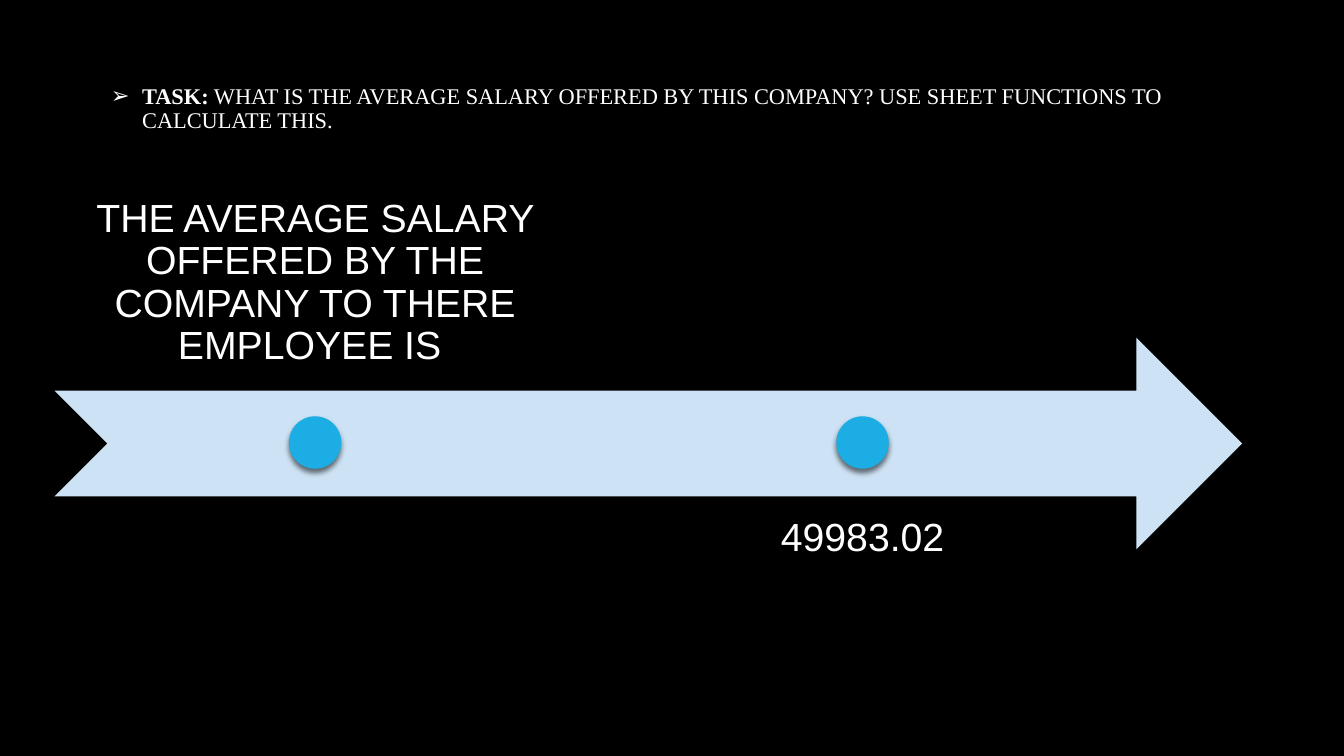
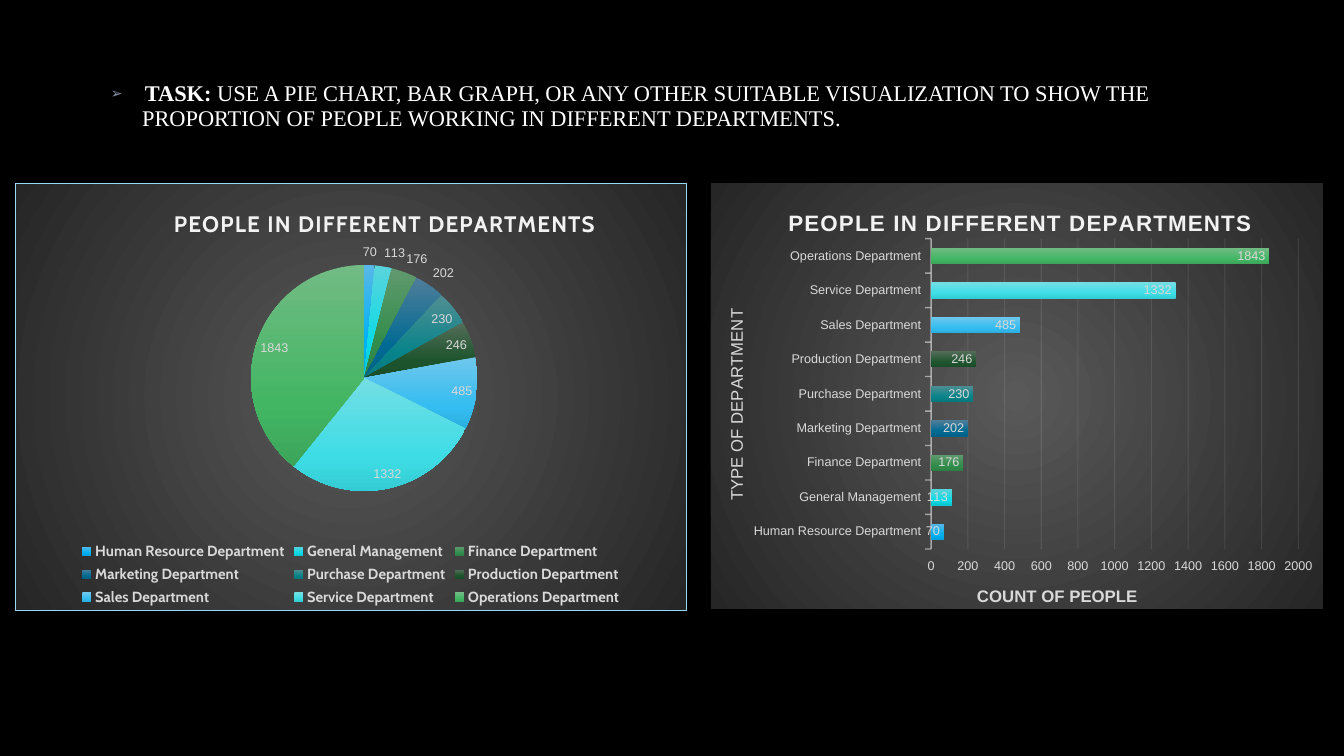
"""Build two dark task slides: an average salary timeline and department charts."""
from pptx import Presentation
from pptx.chart.data import CategoryChartData
from pptx.dml.color import RGBColor
from pptx.enum.chart import XL_CHART_TYPE as ChartType, XL_LABEL_POSITION as LabelPosition
from pptx.enum.chart import XL_LEGEND_POSITION as LegendPosition, XL_TICK_MARK as TickMark
from pptx.enum.shapes import MSO_SHAPE as Shape
from pptx.enum.text import MSO_ANCHOR as Anchor, MSO_AUTO_SIZE as AutoSize, PP_ALIGN as Align
from pptx.oxml import parse_xml
from pptx.oxml.ns import nsdecls, qn
from pptx.util import Inches, Pt

BLACK = RGBColor(0x00, 0x00, 0x00)
WHITE = RGBColor(0xFF, 0xFF, 0xFF)
SLATE = RGBColor(0x84, 0x92, 0xA6)
PALE_BLUE = RGBColor(0xCD, 0xE3, 0xF5)
BLUE = RGBColor(0x1C, 0xAD, 0xE4)
BORDER_BLUE = RGBColor(0x99, 0xDA, 0xF3)
LIGHT = RGBColor(0xF2, 0xF2, 0xF2)
GREY = RGBColor(0xD9, 0xD9, 0xD9)
PANEL_CENTRE = RGBColor(0x59, 0x59, 0x59)
PANEL_EDGE = RGBColor(0x26, 0x26, 0x26)

SALARY_TASK = " WHAT IS THE AVERAGE SALARY OFFERED BY THIS COMPANY? USE SHEET FUNCTIONS TO CALCULATE THIS."
CHART_TASK = (" USE A PIE CHART, BAR GRAPH, OR ANY OTHER SUITABLE VISUALIZATION TO SHOW THE "
              "PROPORTION OF PEOPLE WORKING IN DIFFERENT DEPARTMENTS.")
MILESTONES = [
    ("THE AVERAGE SALARY OFFERED BY THE COMPANY TO THERE EMPLOYEE IS ", 1.77, Anchor.BOTTOM),
    ("49983.02", 4.92, Anchor.TOP),
]
CHART_TITLE = "PEOPLE IN DIFFERENT DEPARTMENTS"
DEPARTMENTS = [
    ("Human Resource Department", 70, ("59B8E7", "00B1F5", "00A1DE")),
    ("General Management", 113, ("5BD4DC", "0CDBE7", "0BC7D1")),
    ("Finance Department", 176, ("60996E", "318D4B", "2C8044")),
    ("Marketing Department", 202, ("4F7E9A", "006A93", "006185")),
    ("Purchase Department", 230, ("508E93", "07848A", "07777E")),
    ("Production Department", 246, ("546D59", "1D542D", "1A4D29")),
    ("Sales Department", 485, ("6FC7EC", "34BDF1", "2BAEDF")),
    ("Service Department", 1332, ("74DEE4", "3EDDE6", "34CCD4")),
    ("Operations Department", 1843, ("72BB84", "42B663", "3CA55A")),
]


def set_font(font, size, color, name="Arial", bold=False):
    font.size, font.name, font.bold = Pt(size), name, bold
    font.color.rgb = color


def add_task_slide(deck, task, height, lead=""):
    slide = deck.slides.add_slide(deck.slide_layouts[5])
    title = slide.shapes.title
    title.left, title.top, title.width, title.height = map(Inches, (1, 0.67, 11.32, height))
    frame = title.text_frame
    frame.auto_size, frame.vertical_anchor = AutoSize.NONE, Anchor.MIDDLE
    para = frame.paragraphs[0]
    para.alignment, para.line_spacing = Align.LEFT, 0.9
    properties = para._p.get_or_add_pPr()
    properties.set("marL", str(Inches(0.31)))
    properties.set("indent", str(-Inches(0.31)))
    properties.append(parse_xml(f'<a:buFont {nsdecls("a")} typeface="Arial"/>'))
    properties.append(parse_xml(f'<a:buChar {nsdecls("a")} char="➢"/>'))
    set_font(para.font, 16, WHITE, "Times New Roman")
    if lead:
        span = para.add_run()
        span.text = lead
        set_font(span.font, 10, SLATE, "Manrope", True)
    for text, bold in (("TASK:", True), (task, False)):
        span = para.add_run()
        span.text = text
        span.font.bold = bold
    return slide


def add_flat_shape(slide, kind, color, *place):
    shape = slide.shapes.add_shape(kind, *map(Inches, place))
    shape.shadow.inherit = False
    shape.fill.solid()
    shape.fill.fore_color.rgb = color
    shape.line.fill.background()
    return shape


def add_timeline(slide):
    left, width, height, step, dot_size = 0.54, 5.17, 2.1, 5.43, 0.52
    add_flat_shape(slide, Shape.NOTCHED_RIGHT_ARROW, PALE_BLUE, left, 3.35, 11.78, height)
    for index, (text, top, anchor) in enumerate(MILESTONES):
        x = left + index * step
        box = slide.shapes.add_textbox(*map(Inches, (x, top, width, height)))
        frame = box.text_frame
        frame.word_wrap, frame.vertical_anchor = True, anchor
        frame.margin_left = frame.margin_right = Inches(0.22)
        frame.margin_top = frame.margin_bottom = Inches(0.22)
        para = frame.paragraphs[0]
        para.text, para.alignment, para.line_spacing = text, Align.CENTER, 0.9
        set_font(para.font, 28, WHITE)
        dot = add_flat_shape(slide, Shape.OVAL, BLUE, x + (width - dot_size) / 2, 4.13,
                             dot_size, dot_size)
        dot._element.spPr.find(qn("a:effectLst")).append(parse_xml(
            f'<a:outerShdw {nsdecls("a")} blurRad="{Pt(4)}" dist="{Pt(3)}" dir="5400000">'
            f'<a:srgbClr val="{BLACK}"><a:alpha val="54000"/></a:srgbClr></a:outerShdw>'))


def gradient(stops, direction):
    marks = "".join(f'<a:gs pos="{position * 1000}"><a:srgbClr val="{color}"/></a:gs>'
                    for position, color in stops)
    return f'<a:gradFill {nsdecls("a")}><a:gsLst>{marks}</a:gsLst>{direction}</a:gradFill>'


def set_layout(element, x, y, width=None, height=None):
    old = element.find(qn("c:layout"))
    if old is not None:
        element.remove(old)
    target = "" if width is None else '<c:layoutTarget val="inner"/>'
    size = "" if width is None else f'<c:w val="{width}"/><c:h val="{height}"/>'
    layout = parse_xml(
        f'<c:layout {nsdecls("c")}><c:manualLayout>{target}<c:xMode val="edge"/>'
        f'<c:yMode val="edge"/><c:x val="{x}"/><c:y val="{y}"/>{size}</c:manualLayout></c:layout>')
    element.insert(0 if element.find(qn("c:tx")) is None else 1, layout)


def set_title(title, text, x, y, size, color, name="Arial", bold=True, spacing=0):
    para = title.text_frame.paragraphs[0]
    para.text = text
    set_font(para.font, size, color, name, bold)
    para.font._rPr.set("spc", str(spacing))
    set_layout(title._element, x, y)


def set_line(line, width, alpha):
    line.color.rgb, line.width = LIGHT, Pt(width)
    color = line._ln.find(".//" + qn("a:srgbClr"))
    color.append(parse_xml(f'<a:alpha {nsdecls("a")} val="{alpha * 1000}"/>'))


def add_department_chart(slide, kind, left, width, plot_area, label_position, title_x, title_font, border):
    data = CategoryChartData()
    data.categories = [name for name, _, _ in DEPARTMENTS]
    data.add_series("Series 1", [count for _, count, _ in DEPARTMENTS])
    place = map(Inches, (left, 1.82, width, 4.24))
    chart = slide.shapes.add_chart(kind, *place, data).chart
    set_font(chart.font, 10, WHITE)
    chart.has_legend = False
    chart.has_title = True
    set_title(chart.chart_title, CHART_TITLE, title_x, 0.05, 16, LIGHT, title_font, spacing=100)
    set_layout(chart._chartSpace.chart.plotArea, *plot_area)
    fill = gradient(((0, PANEL_CENTRE), (100, PANEL_EDGE)),
                    '<a:path path="circle"><a:fillToRect l="50000" t="50000" r="50000" b="50000"/></a:path>')
    chart._chartSpace.chart.addnext(parse_xml(
        f'<c:spPr {nsdecls("c", "a")}>{fill}<a:ln w="{Pt(0.75)}">{border}</a:ln></c:spPr>'))
    series = chart.plots[0].series[0]
    for index, (_, _, colors) in enumerate(DEPARTMENTS):
        fill = gradient(zip((0, 69, 100), colors), '<a:lin ang="5400000" scaled="0"/>')
        series.points[index].format._element.get_or_add_spPr().append(parse_xml(fill))
    labels = series.data_labels
    labels.show_value, labels.position = True, label_position
    set_font(labels.font, 9, GREY)
    return chart


def add_pie(slide):
    border = f'<a:solidFill><a:srgbClr val="{BORDER_BLUE}"/></a:solidFill>'
    chart = add_department_chart(slide, ChartType.PIE, 0.15, 6.66, (0.1, 0.19, 0.84, 0.53),
                                 LabelPosition.BEST_FIT, 0.23, "Cabin", border)
    chart.plots[0].vary_by_categories = True
    chart.has_legend = True
    chart.legend.position = LegendPosition.BOTTOM
    chart.legend.include_in_layout = False
    set_font(chart.legend.font, 10.5, GREY, "Cabin", True)


def add_bars(slide):
    chart = add_department_chart(slide, ChartType.BAR_CLUSTERED, 7.05, 6.07, (0.36, 0.13, 0.6, 0.73),
                                 LabelPosition.INSIDE_END, 0.12, "Arial", "<a:noFill/>")
    plot = chart.plots[0]
    plot.vary_by_categories, plot.gap_width, plot.overlap = False, 115, -20
    names, counts = chart.category_axis, chart.value_axis
    for axis in (names, counts):
        axis.major_tick_mark, axis.minor_tick_mark = TickMark.OUTSIDE, TickMark.NONE
        set_font(axis.tick_labels.font, 9, GREY)
    set_title(names.axis_title, "TYPE OF DEPARTMENT", 0.02, 0.29, 12, GREY, bold=False)
    body = names.axis_title.text_frame._txBody.find(qn("a:bodyPr"))
    body.set("rot", "-5400000")
    body.set("vert", "horz")
    set_title(counts.axis_title, "COUNT OF PEOPLE", 0.43, 0.94, 12, GREY)
    set_line(names.format.line, 1, 54)
    names.has_major_gridlines = False
    counts.minimum_scale, counts.maximum_scale, counts.major_unit = 0, 2000, 200
    counts.format.line.fill.background()
    counts.has_major_gridlines = True
    set_line(counts.major_gridlines.format.line, 0.75, 10)


def main():
    deck = Presentation()
    deck.slide_width, deck.slide_height = Inches(13.33), Inches(7.5)
    background = deck.slide_master.background.fill
    background.solid()
    background.fore_color.rgb = BLACK
    add_timeline(add_task_slide(deck, SALARY_TASK, 0.83))
    chart_slide = add_task_slide(deck, CHART_TASK, 0.78, " ")
    add_pie(chart_slide)
    add_bars(chart_slide)
    deck.save("out.pptx")


if __name__ == "__main__":
    main()
